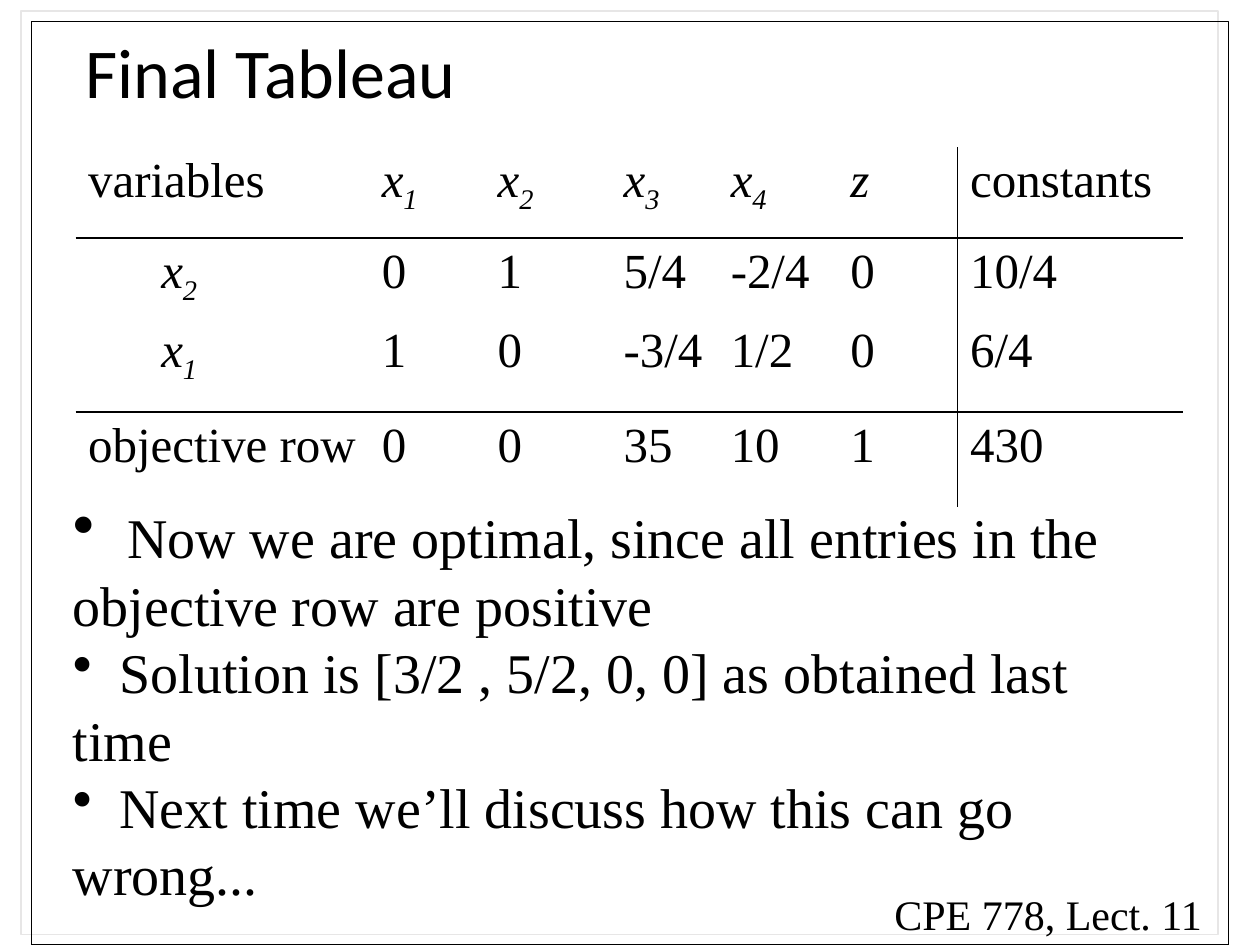
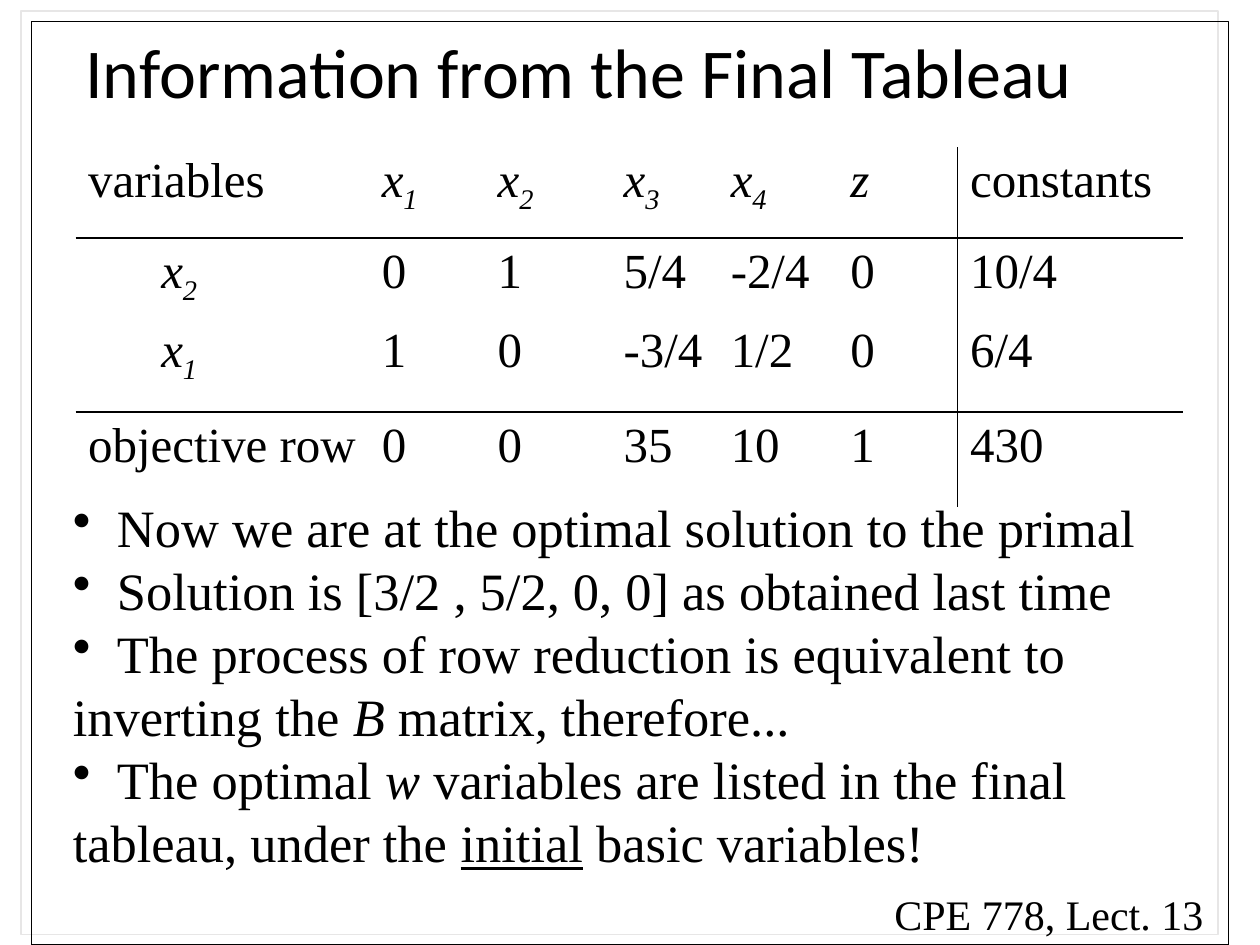
"""Build two lecture slides that read results off a final simplex tableau."""
from lxml.etree import SubElement
from pptx import Presentation
from pptx.dml.color import RGBColor
from pptx.enum.shapes import MSO_SHAPE as Shape
from pptx.enum.text import MSO_ANCHOR as Anchor
from pptx.oxml import parse_xml
from pptx.oxml.ns import nsdecls, qn
from pptx.util import Inches, Pt

INK = "000000"
SHADOW = "E7E6E6"
SERIF = "Times New Roman"
NS = nsdecls("a")

COLUMN_WIDTHS = [2.33, 0.92, 1, 0.85, 0.95, 0.95, 1.79]
ROW_HEIGHTS = [0.72, 0.61, 0.75, 0.75]
TABLEAU = [
    ["variables", "x1", "x2", "x3", "x4", "z", "constants"],
    ["x2", "0", "1", "5/4", "-2/4", "0", "10/4"],
    ["x1", "1", "0", "-3/4", "1/2", "0", "6/4"],
    ["objective row", "0", "0", "35", "10", "1", "430"],
]
RULED_BELOW = (0, 2)
CONSTANTS = 6

ITALIC = {"italic": True}
LECTURES = [
    {
        "title": "Final Tableau",
        "footer": "CPE 778, Lect. 11",
        "size": 32,
        "lead_size": 36,
        "indents": [0.43, 0.37, 0.37],
        "points": [
            [("Now we are optimal, since all entries in the objective row are positive", {})],
            [("Solution is [3/2 , 5/2, 0, 0] as obtained last time", {})],
            [("Next time we’ll discuss how this can go wrong...", {})],
        ],
    },
    {
        "title": "Information from the Final Tableau",
        "footer": "CPE 778, Lect. 13",
        "size": 30,
        "lead_size": 30,
        "indents": [0.35] * 4,
        "points": [
            [("Now we are at the optimal solution to the primal", {})],
            [("Solution is [3/2 , 5/2, 0, 0] as obtained last time", {})],
            [("The process of row reduction is equivalent to inverting the ", {}),
             ("B", ITALIC), (" matrix, therefore...", {})],
            [("The optimal ", {}), ("w", ITALIC),
             (" variables are listed in the final tableau, under the ", {}),
             ("initial", {"underline": True}), (" basic variables!", {})],
        ],
    },
]


def write(paragraph, text, size=28, font=SERIF, color=INK, italic=False,
          underline=False, baseline=0):
    run = paragraph.add_run()
    run.text = text
    run.font.size = Pt(size)
    run.font.name = font
    run.font.color.rgb = RGBColor.from_string(color)
    run.font.italic = italic
    run.font.underline = underline
    if baseline:
        run.font._element.set("baseline", str(baseline * 1000))


def add_frame(slide, left, top, width, height, wrap=True):
    box = slide.shapes.add_textbox(Inches(left), Inches(top), Inches(width), Inches(height))
    box.text_frame.word_wrap = wrap
    return box.text_frame


deck = Presentation()
deck.slide_width = Inches(10)
deck.slide_height = Inches(7.5)

for lecture in LECTURES:
    slide = deck.slides.add_slide(deck.slide_layouts[6])

    heading = add_frame(slide, 0.58, 0, 8.83, 1.25)
    heading.vertical_anchor = Anchor.MIDDLE
    heading.paragraphs[0].line_spacing = 0.8
    write(heading.paragraphs[0], lecture["title"], size=40, font="Calibri")

    border = slide.shapes.add_shape(
        Shape.RECTANGLE, Inches(0.25), Inches(0.17), Inches(9.5), Inches(7.33))
    border.fill.background()
    border.line.color.rgb = RGBColor.from_string(INK)
    border.line.width = Pt(0.75)
    border.shadow.inherit = False
    border._element.spPr.find(qn("a:effectLst")).append(parse_xml(
        f'<a:outerShdw {NS} dist="{Pt(8.5)}" dir="13500000" algn="ctr" rotWithShape="0">'
        f'<a:srgbClr val="{SHADOW}"/></a:outerShdw>'))

    footer = add_frame(slide, 7, 7, 2.65, 0.5, wrap=False)
    write(footer.paragraphs[0], lecture["footer"], size=24)

    tableau = slide.shapes.add_table(
        len(ROW_HEIGHTS), len(COLUMN_WIDTHS),
        Inches(0.6), Inches(1.17), Inches(8.79), Inches(2.83)).table
    tableau.first_row = False
    tableau.horz_banding = False
    for column, width in zip(tableau.columns, COLUMN_WIDTHS):
        column.width = Inches(width)
    for row, height in zip(tableau.rows, ROW_HEIGHTS):
        row.height = Inches(height)

    for r, entries in enumerate(TABLEAU):
        for c, entry in enumerate(entries):
            cell = tableau.cell(r, c)
            ruled_sides = {
                "lnL": c == CONSTANTS,
                "lnR": c == CONSTANTS - 1,
                "lnT": r - 1 in RULED_BELOW,
                "lnB": r in RULED_BELOW,
            }
            for side, ruled in ruled_sides.items():
                paint = (f'<a:solidFill><a:srgbClr val="{INK}"/></a:solidFill>'
                         if ruled else "<a:noFill/>")
                cell._tc.get_or_add_tcPr().append(
                    parse_xml(f'<a:{side} {NS} w="{Pt(1)}">{paint}</a:{side}>'))
            cell.fill.background()

            label = cell.text_frame.paragraphs[0]
            if entry[0] == "x":
                write(label, "x", italic=True)
                write(label, entry[1:], italic=True, baseline=-25)
                if c == 0:
                    label._p.get_or_add_pPr().set("marL", str(Inches(0.58)))
            else:
                write(label, entry, italic=entry == "z")

    remarks = add_frame(slide, 0.48, 3.88, 8.85, 3.37)
    for i, (point, indent) in enumerate(zip(lecture["points"], lecture["indents"])):
        remark = remarks.add_paragraph() if i else remarks.paragraphs[0]
        layout = remark._p.get_or_add_pPr()
        SubElement(layout, qn("a:buChar"), char="•")
        stops = SubElement(layout, qn("a:tabLst"))
        SubElement(stops, qn("a:tab"), pos=str(Inches(indent)), algn="l")
        write(remark, "\t", size=lecture["size"] if i else lecture["lead_size"])
        for text, style in point:
            write(remark, text, size=lecture["size"], **style)

deck.save("out.pptx")
